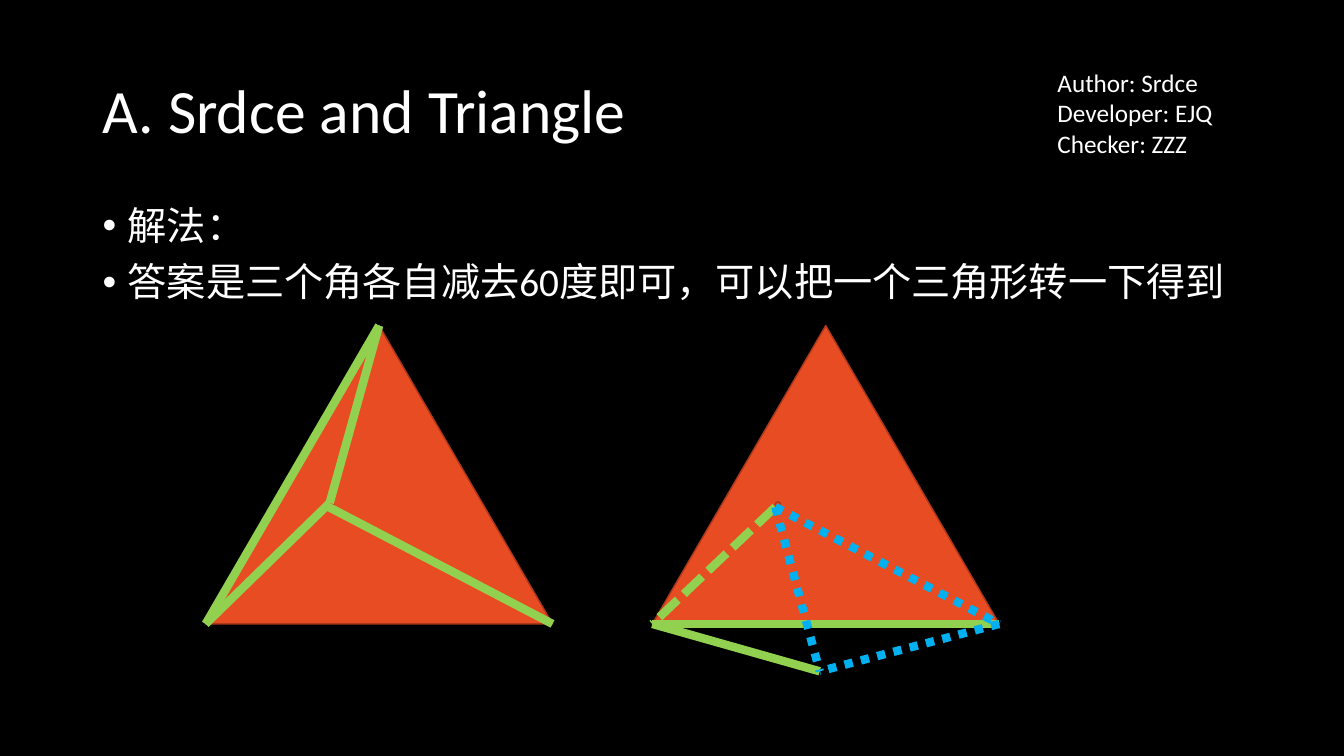
from dataclasses import dataclass
from lxml.etree import SubElement
from pptx import Presentation
from pptx.dml.color import RGBColor
from pptx.enum.dml import MSO_LINE
from pptx.enum.shapes import MSO_CONNECTOR, MSO_SHAPE
from pptx.enum.text import MSO_ANCHOR
from pptx.oxml.ns import qn
from pptx.util import Inches, Pt


@dataclass(frozen=True)
class Theme:
    back: str = "000000"
    ink: str = "FFFFFF"
    face: str = "E84C22"
    edge: str = "AC3819"
    green: str = "92D050"
    blue: str = "00B0F0"
    font: str = "Calibri"
    title: int = 44
    body: int = 28
    note: int = 18
    thin: int = 1
    thick: int = 6


T = Theme()
WIDE, HIGH = 13.33, 7.5

# Content: lines, box, type size, anchor, paragraph format, bullet
TEXTS = [
    (["A. Srdce and Triangle"], (0.92, 0.4, 11.5, 1.45), T.title,
     MSO_ANCHOR.MIDDLE, {"line_spacing": 0.9}, False),
    (["解法：", "答案是三个角各自减去60度即可，可以把一个三角形转一下得到"],
     (0.92, 2, 11.5, 4.76), T.body, MSO_ANCHOR.TOP,
     {"line_spacing": 0.9, "space_before": Pt(10)}, True),
    (["Author: Srdce", "Developer: EJQ", "Checker: ZZZ"],
     (10.39, 0.62, 2.03, 1.01), T.note, MSO_ANCHOR.TOP, {}, False),
]

# Both triangles share one size and top; points are measured from their corner
TOP, BASE, RISE, DOT = 3.23, 3.44, 2.96, 0.05
APEX, LEFT, RIGHT = (BASE / 2, 0), (0, RISE), (BASE, RISE)
CORE, LOW, FOOT = (1.23, 1.76), (1.22, 1.8), (1.66, 3.43)
SOLID, DOTS, DASH = MSO_LINE.SOLID, MSO_LINE.ROUND_DOT, MSO_LINE.SQUARE_DOT
FIGURES = [
    (2.04, [(APEX, LEFT, T.green, SOLID), (APEX, CORE, T.green, SOLID),
            (CORE, LEFT, T.green, SOLID), (LOW, RIGHT, T.green, SOLID)]),
    (6.47, [(RIGHT, LEFT, T.green, SOLID), (RIGHT, FOOT, T.blue, DOTS),
            (FOOT, LEFT, T.green, SOLID), (LOW, RIGHT, T.blue, DOTS),
            (LOW, LEFT, T.green, DASH), (LOW, FOOT, T.blue, DOTS)]),
]


def tint(name):
    return RGBColor.from_string(name)


def apply(item, style):
    for key, value in style.items():
        setattr(item, key, value)


def write(slide, lines, box, size, anchor, style, bullet):
    frame = slide.shapes.add_textbox(*map(Inches, box)).text_frame
    apply(frame, {"word_wrap": True, "vertical_anchor": anchor})
    for i, line in enumerate(lines):
        para = frame.add_paragraph() if i else frame.paragraphs[0]
        apply(para, style)
        if bullet:
            props = para._p.get_or_add_pPr()
            props.set("marL", str(Inches(0.25)))
            props.set("indent", str(-Inches(0.25)))
            SubElement(props, qn("a:buFont")).set("typeface", "Arial")
            SubElement(props, qn("a:buChar")).set("char", "•")
        run = para.add_run()
        run.text = line
        apply(run.font, {"name": T.font, "size": Pt(size)})
        run.font.color.rgb = tint(T.ink)


def solid(slide, kind, *box):
    shape = slide.shapes.add_shape(kind, *map(Inches, box))
    shape.shadow.inherit = False
    shape.fill.solid()
    shape.fill.fore_color.rgb = tint(T.face)
    shape.line.color.rgb = tint(T.edge)
    shape.line.width = Pt(T.thin)


def stroke(slide, left, start, end, color, dash):
    ends = [Inches(v) for x, y in (start, end) for v in (left + x, TOP + y)]
    line = slide.shapes.add_connector(MSO_CONNECTOR.STRAIGHT, *ends)
    line.line.color.rgb = tint(color)
    apply(line.line, {"width": Pt(T.thick), "dash_style": dash})
    SubElement(line._element.spPr, qn("a:effectLst"))


def main():
    deck = Presentation()
    apply(deck, {"slide_width": Inches(WIDE), "slide_height": Inches(HIGH)})
    slide = deck.slides.add_slide(deck.slide_layouts[6])
    slide.background.fill.solid()
    slide.background.fill.fore_color.rgb = tint(T.back)

    # Title, solution and credits
    for text in TEXTS:
        write(slide, *text)

    # Triangles with their inner point and segments
    for left, lines in FIGURES:
        solid(slide, MSO_SHAPE.ISOSCELES_TRIANGLE, left, TOP, BASE, RISE)
        solid(slide, MSO_SHAPE.OVAL, left + LOW[0], TOP + LOW[1] - DOT, DOT, DOT)
        for line in lines:
            stroke(slide, left, *line)

    deck.save("out.pptx")


if __name__ == "__main__":
    main()
